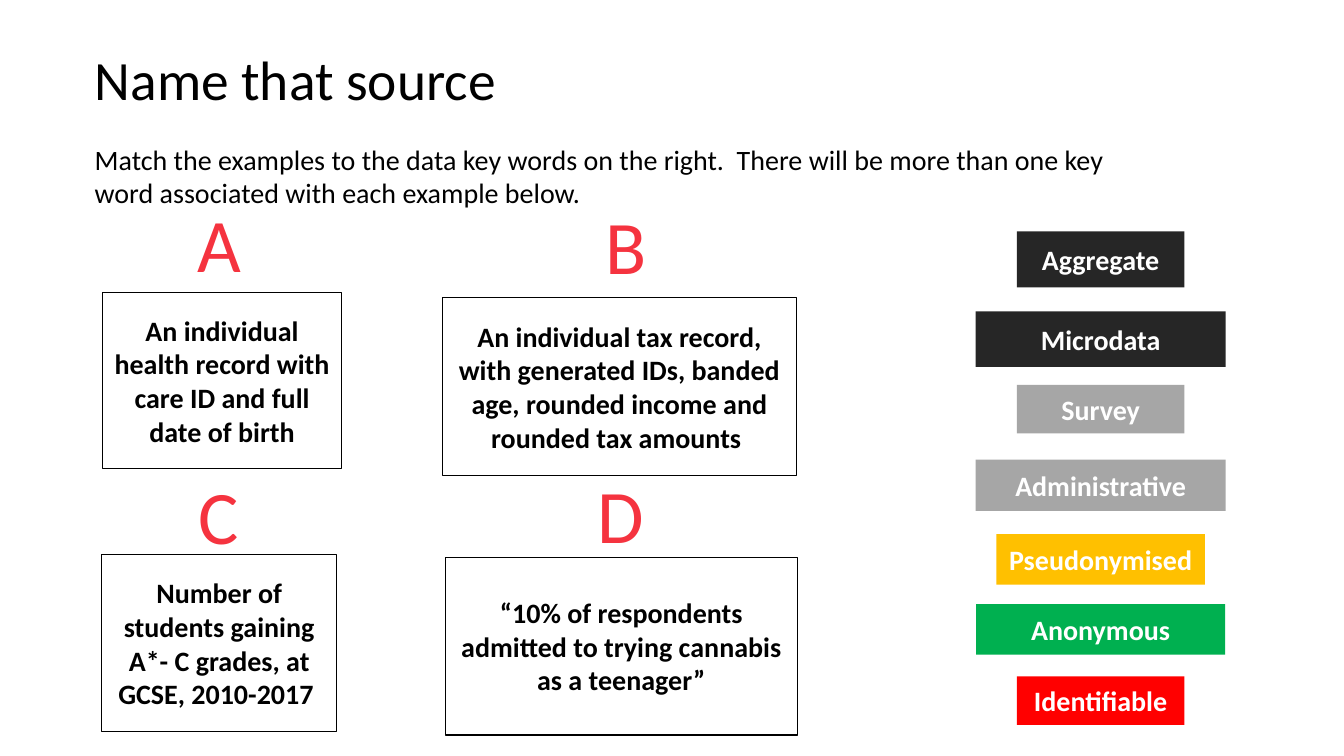
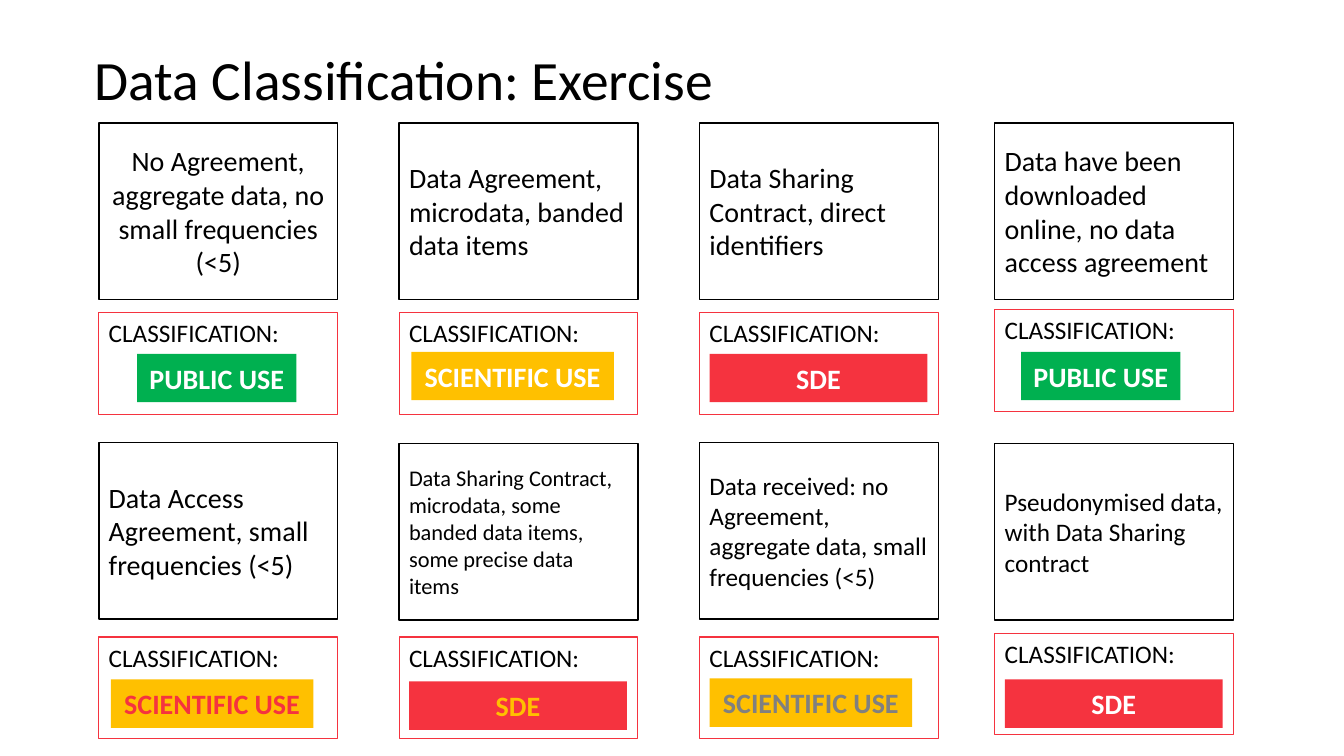
"""Build two slides of a data classification exercise."""
from dataclasses import dataclass
from typing import NamedTuple, Optional

from pptx import Presentation
from pptx.dml.color import RGBColor
from pptx.enum.shapes import MSO_SHAPE as Preset
from pptx.enum.text import MSO_ANCHOR as Anchor, MSO_AUTO_SIZE as AutoSize, PP_ALIGN as Align
from pptx.shapes.autoshape import Shape
from pptx.slide import Slide
from pptx.util import Pt

FONT = "Calibri"
BLACK, WHITE, CHARCOAL = "000000", "FFFFFF", "262626"
SILVER, GREY = "A6A6A6", "808080"
CORAL, RED, AMBER, GREEN = "F5333F", "FF0000", "FFC000", "00B050"

TITLE_ONLY = 5
KEY_WORD_CENTER = 786.2
COLUMN_LEFTS = (70.6, 285.1, 499.7, 710.6)
CARD_WIDTH, CARD_HEIGHT, PANEL_HEIGHT = 170.6, 126, 72.7
BADGE_HEIGHT = 34.6
BADGE_WIDTHS = {"PUBLIC USE": 113.8, "SCIENTIFIC USE": 144.7, "SDE": 155.5}


class Box(NamedTuple):
    """Position and size in points."""
    left: float
    top: float
    width: float
    height: float


@dataclass(frozen=True)
class TextStyle:
    """Character and paragraph formatting."""
    size: float = 20
    color: str = BLACK
    bold: bool = False
    align: Align = Align.LEFT
    anchor: Anchor = Anchor.MIDDLE
    wrap: bool = True


@dataclass(frozen=True)
class Outline:
    """Colour and width of a rectangle's border."""
    color: str
    width: float


@dataclass(frozen=True)
class Example:
    """A lettered example and the place of its letter."""
    letter: str
    letter_box: Box
    text: str
    box: Box


@dataclass(frozen=True)
class KeyWord:
    """A coloured key word, centred in its column."""
    text: str
    color: str
    top: float
    width: float
    height: float = 34.6


@dataclass(frozen=True)
class Badge:
    """A classification label."""
    text: str
    left: float
    top: float
    fill: str
    color: str = WHITE


@dataclass(frozen=True)
class Card:
    """A data description with its classification."""
    text: str
    top: float
    panel_top: float
    badge: Badge
    size: float = 20
    align: Align = Align.LEFT


LETTER = TextStyle(54, CORAL, align=Align.CENTER, anchor=Anchor.TOP, wrap=False)
EXAMPLE = TextStyle(bold=True, align=Align.CENTER)
PANEL = TextStyle(18, anchor=Anchor.TOP)
THIN_BLACK, THIN_CORAL = Outline(BLACK, 1), Outline(CORAL, 0.75)

EXAMPLES = (
    Example("A", Box(133.9, 136.8, 46.1, 72.7),
            "An individual health record with care ID and full date of birth",
            Box(73.4, 208.8, 170.6, 126)),
    Example("B", Box(425.5, 138.2, 43.9, 72.7),
            "An individual tax record, with generated IDs, banded age, "
            "rounded income and rounded tax amounts ",
            Box(316.1, 212.4, 252.7, 127.4)),
    Example("C", Box(133.9, 331.2, 43.9, 72.7),
            "Number of students gaining A*- C grades, at GCSE, 2010-2017 ",
            Box(72.7, 396, 167.8, 126.7)),
    Example("D", Box(419, 330.5, 48.2, 72.7),
            "“10% of respondents admitted to trying cannabis as a teenager”",
            Box(318.2, 398.2, 251.3, 126.7)),
)

KEY_WORDS = (
    KeyWord("Aggregate", CHARCOAL, 165.3, 119.5, 40),
    KeyWord("Microdata", CHARCOAL, 222.5, 178.6, 39.6),
    KeyWord("Survey", SILVER, 275, 119.5),
    KeyWord("Administrative", SILVER, 328.4, 178.6, 36.5),
    KeyWord("Pseudonymised", AMBER, 381.6, 149, 36),
    KeyWord("Anonymous", GREEN, 431.6, 177.8, 36),
    KeyWord("Identifiable", RED, 483.1, 119.5),
)

CARD_ROWS = (
    (
        Card("No Agreement, aggregate data, no small frequencies (<5)", 87.8, 223.2,
             Badge("PUBLIC USE", 97.9, 252.7, GREEN), align=Align.CENTER),
        Card("Data Agreement, microdata, banded data items", 87.8, 223.2,
             Badge("SCIENTIFIC USE", 293.8, 251.3, AMBER)),
        Card("Data Sharing Contract, direct identifiers", 87.8, 223.2,
             Badge("SDE", 506.9, 252.7, CORAL)),
        Card("Data have been downloaded online, no data access agreement", 87.8, 221,
             Badge("PUBLIC USE", 729.4, 251.3, GREEN)),
    ),
    (
        Card("Data Access Agreement, small frequencies (<5)", 316.1, 455,
             Badge("SCIENTIFIC USE", 79.2, 485.3, AMBER, CORAL)),
        Card("Data Sharing Contract, microdata, some banded data items, "
             "some precise data items", 316.8, 455,
             Badge("SDE", 292.3, 486.7, CORAL, AMBER), 16),
        Card("Data received: no Agreement, aggregate data, small frequencies (<5)",
             316.1, 455, Badge("SCIENTIFIC USE", 506.9, 484.6, AMBER, GREY), 18),
        Card("Pseudonymised data, with Data Sharing contract", 316.8, 452.2,
             Badge("SDE", 717.8, 485.3, CORAL), 18),
    ),
)


def rgb(color: str) -> RGBColor:
    """Turn a hex string into a colour."""
    return RGBColor.from_string(color)


def in_points(box: Box) -> tuple[Pt, ...]:
    """Convert a box to lengths."""
    return tuple(Pt(value) for value in box)


def write(shape: Shape, text: str, style: TextStyle) -> None:
    """Put one formatted run into a shape."""
    frame = shape.text_frame
    frame.auto_size = AutoSize.NONE
    frame.word_wrap = style.wrap
    frame.vertical_anchor = style.anchor
    paragraph = frame.paragraphs[0]
    paragraph.alignment = style.align
    run = paragraph.add_run()
    run.text = text
    run.font.name = FONT
    run.font.size = Pt(style.size)
    run.font.bold = style.bold
    run.font.color.rgb = rgb(style.color)


def add_title_slide(presentation: Presentation, title: str, width: float) -> Slide:
    """Add a slide with the shared title style."""
    slide = presentation.slides.add_slide(presentation.slide_layouts[TITLE_ONLY])
    shape = slide.shapes.title
    shape.left, shape.top, shape.width, shape.height = in_points(Box(60.5, 37.4, width, 87.1))
    write(shape, title, TextStyle(39.6, anchor=Anchor.TOP))
    shape.text_frame.margin_top = Pt(0)
    shape.text_frame.paragraphs[0].line_spacing = 0.9
    return slide


def add_text(slide: Slide, box: Box, text: str, style: TextStyle) -> None:
    """Add a text box."""
    write(slide.shapes.add_textbox(*in_points(box)), text, style)


def add_rectangle(slide: Slide, box: Box, text: str, style: TextStyle,
                  fill: Optional[str] = None, outline: Optional[Outline] = None) -> None:
    """Add a rectangle with text, and a fill and border where given."""
    shape = slide.shapes.add_shape(Preset.RECTANGLE, *in_points(box))
    shape.shadow.inherit = False
    if fill:
        shape.fill.solid()
        shape.fill.fore_color.rgb = rgb(fill)
    else:
        shape.fill.background()
    if outline:
        shape.line.color.rgb = rgb(outline.color)
        shape.line.width = Pt(outline.width)
    else:
        shape.line.fill.background()
    write(shape, text, style)


def add_label(slide: Slide, box: Box, text: str, fill: str, color: str = WHITE) -> None:
    """Add a bold label on a coloured band."""
    add_rectangle(slide, box, text, TextStyle(color=color, bold=True, align=Align.CENTER), fill)


def add_card(slide: Slide, left: float, card: Card) -> None:
    """Add a description, its classification panel and the badge."""
    add_rectangle(slide, Box(left, card.top, CARD_WIDTH, CARD_HEIGHT), card.text,
                  TextStyle(card.size, align=card.align), WHITE, THIN_BLACK)
    add_rectangle(slide, Box(left, card.panel_top, CARD_WIDTH, PANEL_HEIGHT),
                  "CLASSIFICATION:", PANEL, outline=THIN_CORAL)
    badge = card.badge
    add_label(slide, Box(badge.left, badge.top, BADGE_WIDTHS[badge.text], BADGE_HEIGHT),
              badge.text, badge.fill, badge.color)


def build_source_slide(presentation: Presentation) -> None:
    """Build the slide that matches examples to key words."""
    slide = add_title_slide(presentation, "Name that source", 839.5)
    add_text(slide, Box(60.5, 97.9, 761.8, 55.4),
             "Match the examples to the data key words on the right.  There will be more "
             "than one key word associated with each example below.",
             TextStyle(anchor=Anchor.TOP))
    for example in EXAMPLES:
        add_rectangle(slide, example.box, example.text, EXAMPLE, WHITE, THIN_BLACK)
        add_text(slide, example.letter_box, example.letter, LETTER)
    for word in KEY_WORDS:
        left = KEY_WORD_CENTER - word.width / 2
        add_label(slide, Box(left, word.top, word.width, word.height), word.text, word.color)


def build_classification_slide(presentation: Presentation) -> None:
    """Build the slide with the grid of classified data."""
    slide = add_title_slide(presentation, "Data Classification: Exercise", 561.6)
    for row in CARD_ROWS:
        for left, card in zip(COLUMN_LEFTS, row):
            add_card(slide, left, card)


def main() -> None:
    """Create and save the presentation."""
    presentation = Presentation()
    presentation.slide_width, presentation.slide_height = Pt(960), Pt(540)
    build_source_slide(presentation)
    build_classification_slide(presentation)
    presentation.save("out.pptx")


if __name__ == "__main__":
    main()
